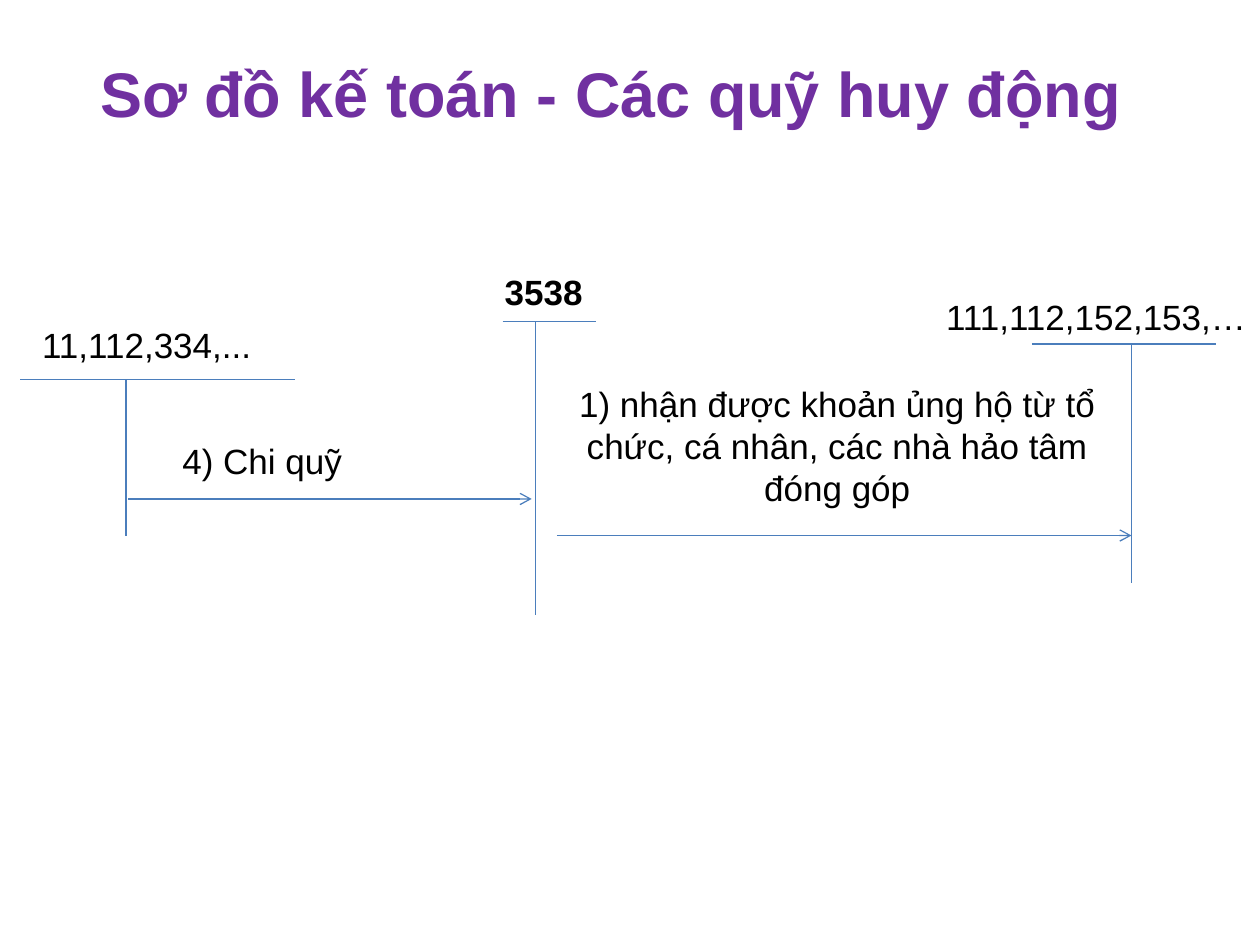
from typing import NamedTuple

from lxml import etree
from pptx import Presentation
from pptx import util as u
from pptx.dml.color import RGBColor
from pptx.enum import shapes, text
from pptx.oxml.ns import qn

COLORS = {"title": "7030A0", "text": "000000", "line": "4B7EBC"}


class Label(NamedTuple):
    words: str
    left: float
    top: float
    width: float
    height: float
    size: int = 20
    color: str = "text"
    bold: bool = False
    wrap: bool = True
    spacing: float = 1.0
    anchor: text.MSO_ANCHOR = text.MSO_ANCHOR.TOP
    auto_size: text.MSO_AUTO_SIZE = text.MSO_AUTO_SIZE.SHAPE_TO_FIT_TEXT


class Account(NamedTuple):
    """A T-account: a bar from left to right with a stem hanging from it."""
    label: Label
    left: float
    right: float
    stem: float
    top: float
    bottom: float


class Entry(NamedTuple):
    """A booking: an arrow at height y with its description."""
    label: Label
    start: float
    end: float
    y: float


TITLE = Label("Sơ đồ kế toán - Các quỹ huy động", 0.23, 0.49, 9.24, 0.59,
              size=36, color="title", bold=True,
              anchor=text.MSO_ANCHOR.BOTTOM, auto_size=text.MSO_AUTO_SIZE.NONE)

ACCOUNTS = [
    Account(Label("3538", 3.9, 2.1, 0.83, 0.44, bold=True, wrap=False),
            3.99, 4.73, 4.25, 2.55, 4.88),
    Account(Label("11,112,334,...", 0.23, 2.52, 1.87, 0.44, wrap=False),
            0.16, 2.34, 1, 3.01, 4.25),
    Account(Label("111,112,152,153,…", 7.4, 2.13, 2.6, 0.54, wrap=False, spacing=1.5),
            8.19, 9.65, 8.98, 2.73, 4.63),
]

ENTRIES = [
    Entry(Label("4) Chi quỹ ", 0.02, 3.44, 4.2, 0.44), 1.02, 4.22, 3.96),
    Entry(Label("1) nhận được khoản ủng hộ từ tổ chức, cá nhân, các nhà hảo tâm đóng góp",
                4.45, 2.99, 4.39, 1.1), 4.42, 8.98, 4.25),
]


def add_label(slide, label: Label) -> None:
    box = slide.shapes.add_textbox(u.Inches(label.left), u.Inches(label.top),
                                   u.Inches(label.width), u.Inches(label.height))
    frame = box.text_frame
    frame.word_wrap = label.wrap
    frame.auto_size = label.auto_size
    frame.vertical_anchor = label.anchor
    paragraph = frame.paragraphs[0]
    paragraph.text = label.words
    paragraph.alignment = text.PP_ALIGN.CENTER
    paragraph.line_spacing = label.spacing
    paragraph.font.name = "Arial"
    paragraph.font.size = u.Pt(label.size)
    paragraph.font.bold = label.bold
    paragraph.font.color.rgb = RGBColor.from_string(COLORS[label.color])


def add_line(slide, x1: float, y1: float, x2: float, y2: float, arrow: bool = False) -> None:
    connector = slide.shapes.add_connector(
        shapes.MSO_CONNECTOR.STRAIGHT,
        u.Inches(x1), u.Inches(y1), u.Inches(x2), u.Inches(y2))
    connector.line.color.rgb = RGBColor.from_string(COLORS["line"])
    connector.line.width = u.Pt(0.75)
    if arrow:
        etree.SubElement(connector.line._get_or_add_ln(), qn("a:tailEnd"), type="arrow")
    etree.SubElement(connector._element.spPr, qn("a:effectLst"))


def add_account(slide, account: Account) -> None:
    add_label(slide, account.label)
    add_line(slide, account.left, account.top, account.right, account.top)
    add_line(slide, account.stem, account.top, account.stem, account.bottom)


def add_entry(slide, entry: Entry) -> None:
    add_label(slide, entry.label)
    add_line(slide, entry.start, entry.y, entry.end, entry.y, arrow=True)


def main() -> None:
    presentation = Presentation()
    presentation.slide_width = u.Inches(10)
    presentation.slide_height = u.Inches(7.5)
    slide = presentation.slides.add_slide(presentation.slide_layouts[6])
    add_label(slide, TITLE)
    for account in ACCOUNTS:
        add_account(slide, account)
    for entry in ENTRIES:
        add_entry(slide, entry)
    presentation.save("out.pptx")


if __name__ == "__main__":
    main()
